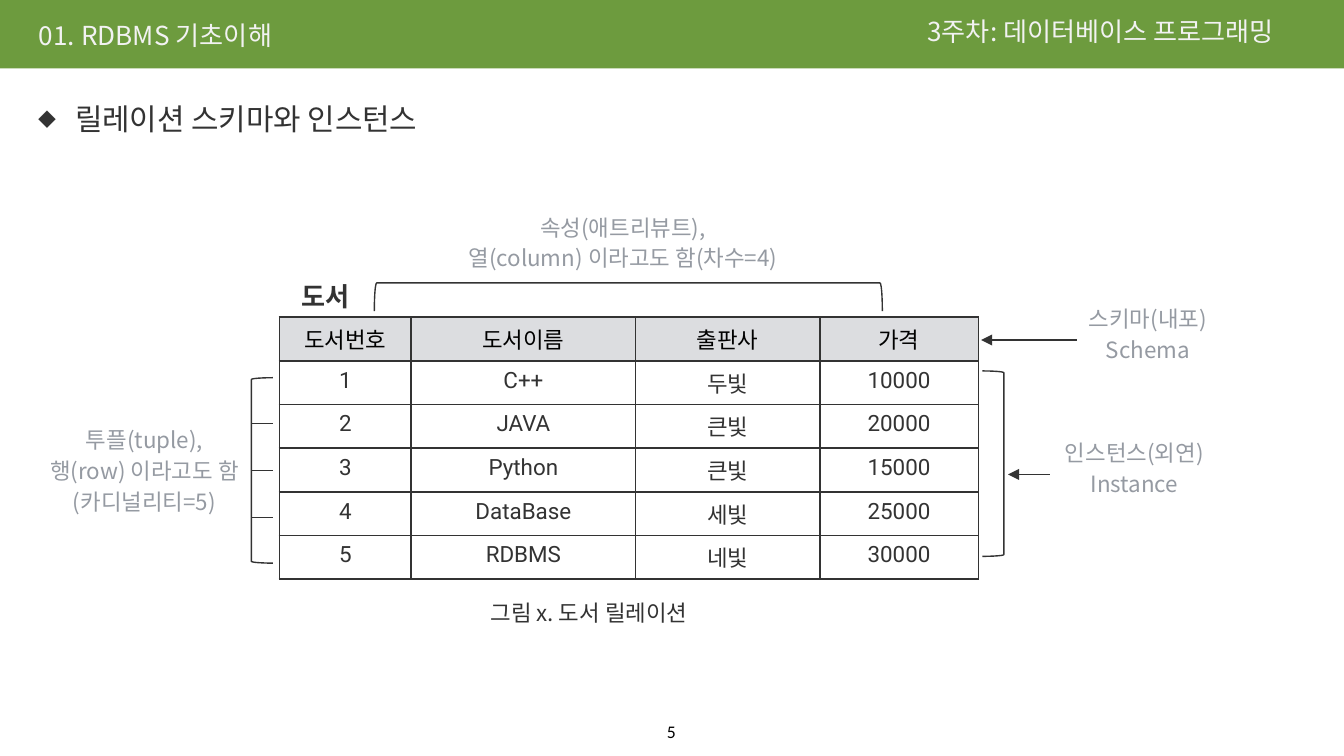
from dataclasses import dataclass

import lxml.etree
import pptx
import pptx.dml.color
import pptx.enum.shapes
import pptx.enum.text
import pptx.oxml
import pptx.oxml.ns
import pptx.util

PX = 9144  # EMU per px, 100 px to the inch
ALIGN = pptx.enum.text.PP_ALIGN
ANCHOR = pptx.enum.text.MSO_ANCHOR
SHAPE = pptx.enum.shapes.MSO_SHAPE
RGB = pptx.dml.color.RGBColor.from_string
qn = pptx.oxml.ns.qn


@dataclass(frozen=True)
class Theme:
    green: str = "6D9B3E"
    pale: str = "F2F2F2"
    ink: str = "333333"
    note: str = "959AA2"
    black: str = "000000"
    white: str = "FFFFFF"
    header_fill: str = "DCDDE0"
    korean: str = "Noto Sans CJK KR"
    table_font: str = "Roboto"
    number_font: str = "Calibri"
    section: int = 16
    heading: int = 14
    body: int = 12
    number: float = 9.5


theme = Theme()


def write(frame, text, size, color, align=ALIGN.CENTER, font=theme.korean,
          spacing=0.8, bold=False, bullet=None):
    """Fill a text frame with one paragraph per line of text."""
    frame.text = text
    for index, paragraph in enumerate(frame.paragraphs):
        if bullet:
            properties = paragraph._p.get_or_add_pPr()
            properties.set("marL", str(27 * PX))
            properties.set("indent", str(-27 * PX))
            lxml.etree.SubElement(properties, qn("a:buSzPct"), val="60000")
            lxml.etree.SubElement(properties, qn("a:buFont"), typeface=theme.korean)
            lxml.etree.SubElement(properties, qn("a:buChar"), char=bullet)
        paragraph.alignment = align
        paragraph.line_spacing = spacing
        paragraph.space_before = pptx.util.Pt(5 if index else 0)
        paragraph.font.size = pptx.util.Pt(size)
        paragraph.font.bold = bold
        paragraph.font.name = font
        paragraph.font.color.rgb = RGB(color)
        lxml.etree.SubElement(paragraph.font._element, qn("a:ea"), typeface=theme.korean)


def add_line(x1, x2, y, arrow=False):
    """Draw a horizontal line, with an arrowhead at x1 if asked."""
    line = slide.shapes.add_connector(
        pptx.enum.shapes.MSO_CONNECTOR.STRAIGHT, x1 * PX, y * PX, x2 * PX, y * PX)
    line.line.color.rgb = RGB(theme.ink)
    line.line.width = pptx.util.Pt(0.75)
    if arrow:
        lxml.etree.SubElement(line.line._get_or_add_ln(), qn("a:headEnd"), type="triangle")
    lxml.etree.SubElement(line._element.spPr, qn("a:effectLst"))


presentation = pptx.Presentation()
presentation.slide_width = 1000 * PX
presentation.slide_height = presentation.slide_width * 9 // 16
slide = presentation.slides.add_slide(presentation.slide_layouts[5])

# Header band and title
title = slide.shapes.title
band = slide.shapes.add_shape(SHAPE.RECTANGLE, 0, 0, 1000 * PX, 51 * PX)
band.shadow.inherit = False
band.fill.solid()
band.fill.fore_color.rgb = RGB(theme.green)
band.line.fill.background()
title._element.addprevious(band._element)

title.left, title.top, title.width, title.height = (v * PX for v in (23, 13, 310, 31))
title_frame = title.text_frame
title_frame.margin_left = title_frame.margin_right = 6 * PX
title_frame.margin_top = title_frame.margin_bottom = 6 * PX
title_frame.vertical_anchor = ANCHOR.TOP
title_frame.auto_size = pptx.enum.text.MSO_AUTO_SIZE.NONE
write(title_frame, "01. RDBMS 기초이해", theme.heading, theme.pale, ALIGN.LEFT)

# Brackets around the columns, the instance and the tuples
brackets = [
    (SHAPE.LEFT_BRACKET, 457, 32, 21, 378, 90),
    (SHAPE.RIGHT_BRACKET, 731, 276, 16, 138, 0),
    (SHAPE.RIGHT_BRACKET, 187, 281, 16, 138, 180),
]
for kind, left, top, width, height, rotation in brackets:
    bracket = slide.shapes.add_shape(kind, left * PX, top * PX, width * PX, height * PX)
    bracket.rotation = rotation
    bracket.shadow.inherit = False
    bracket.fill.background()
    bracket.line.color.rgb = RGB(theme.ink)
    bracket.line.width = pptx.util.Pt(0.75)

for tick in range(3):
    add_line(187, 203, 315 + 35 * tick)
add_line(730, 801, 253, arrow=True)
add_line(750, 781, 353, arrow=True)

# Book relation
books = [
    ("도서번호", "도서이름", "출판사", "가격"),
    ("1", "C++", "두빛", "10000"),
    ("2", "JAVA", "큰빛", "20000"),
    ("3", "Python", "큰빛", "15000"),
    ("4", "DataBase", "세빛", "25000"),
    ("5", "RDBMS", "네빛", "30000"),
]
relation = slide.shapes.add_table(
    len(books), 4, 208 * PX, 236 * PX, 520 * PX, 195 * PX).table
for column, width in zip(relation.columns, (98, 167, 137, 118)):
    column.width = width * PX
for row, book in enumerate(books):
    for column, value in enumerate(book):
        cell = relation.cell(row, column)
        cell.margin_top = 8 * PX
        cell.margin_bottom = 2 * PX
        for side in ("lnL", "lnR", "lnT", "lnB"):
            border = lxml.etree.SubElement(
                cell._tc.get_or_add_tcPr(), qn(f"a:{side}"), w=str(pptx.util.Pt(1)))
            fill = lxml.etree.SubElement(border, qn("a:solidFill"))
            lxml.etree.SubElement(fill, qn("a:srgbClr"), val=theme.ink)
        cell.fill.solid()
        cell.fill.fore_color.rgb = RGB(theme.white if row else theme.header_fill)
        write(cell.text_frame, value, theme.body, theme.ink if row else theme.black,
              font=theme.table_font)

# Labels: box, side and top margins, anchor, wrap, text, size, colour, other format
notes = [
    ((327, 158, 273, 49), "속성(애트리뷰트),\n열(column) 이라고도 함(차수=4)"),
    ((785, 226, 138, 49), "스키마(내포)\nSchema"),
    ((775, 326, 138, 49), "인스턴스(외연)\nInstance"),
    ((22, 316, 171, 73), "투플(tuple),\n행(row) 이라고도 함\n(카디널리티=5)"),
]
labels = [(box, (10, 5), ANCHOR.TOP, True, text, theme.body, theme.note, {})
          for box, text in notes]
labels += [
    ((684, 10, 310, 31), (6, 6), ANCHOR.MIDDLE, True, "3주차: 데이터베이스 프로그래밍",
     theme.heading, theme.pale, {"align": ALIGN.LEFT}),
    ((23, 74, 561, 47), (6, 6), ANCHOR.TOP, True, "릴레이션 스키마와 인스턴스",
     theme.section, theme.ink, {"align": ALIGN.LEFT, "bullet": "◆"}),
    ((197, 207, 91, 31), (10, 5), ANCHOR.MIDDLE, False, "도서",
     theme.heading, theme.ink, {"bold": True}),
    ((359, 433, 226, 45), (6, 6), ANCHOR.MIDDLE, True, "그림 x. 도서 릴레이션",
     theme.body, theme.ink, {"align": ALIGN.LEFT, "spacing": 1.0}),
    ((486, 534, 27, 27), (6, 2), ANCHOR.TOP, False, "5",
     theme.number, theme.black, {"font": theme.number_font, "spacing": 1.0}),
]
for box, (side, top), anchor, wrap, text, size, color, extra in labels:
    frame = slide.shapes.add_textbox(*(v * PX for v in box)).text_frame
    frame.margin_left = frame.margin_right = side * PX
    frame.margin_top = frame.margin_bottom = top * PX
    frame.vertical_anchor = anchor
    frame.word_wrap = wrap
    frame.auto_size = pptx.enum.text.MSO_AUTO_SIZE.SHAPE_TO_FIT_TEXT
    write(frame, text, size, color, **extra)

presentation.save("out.pptx")
